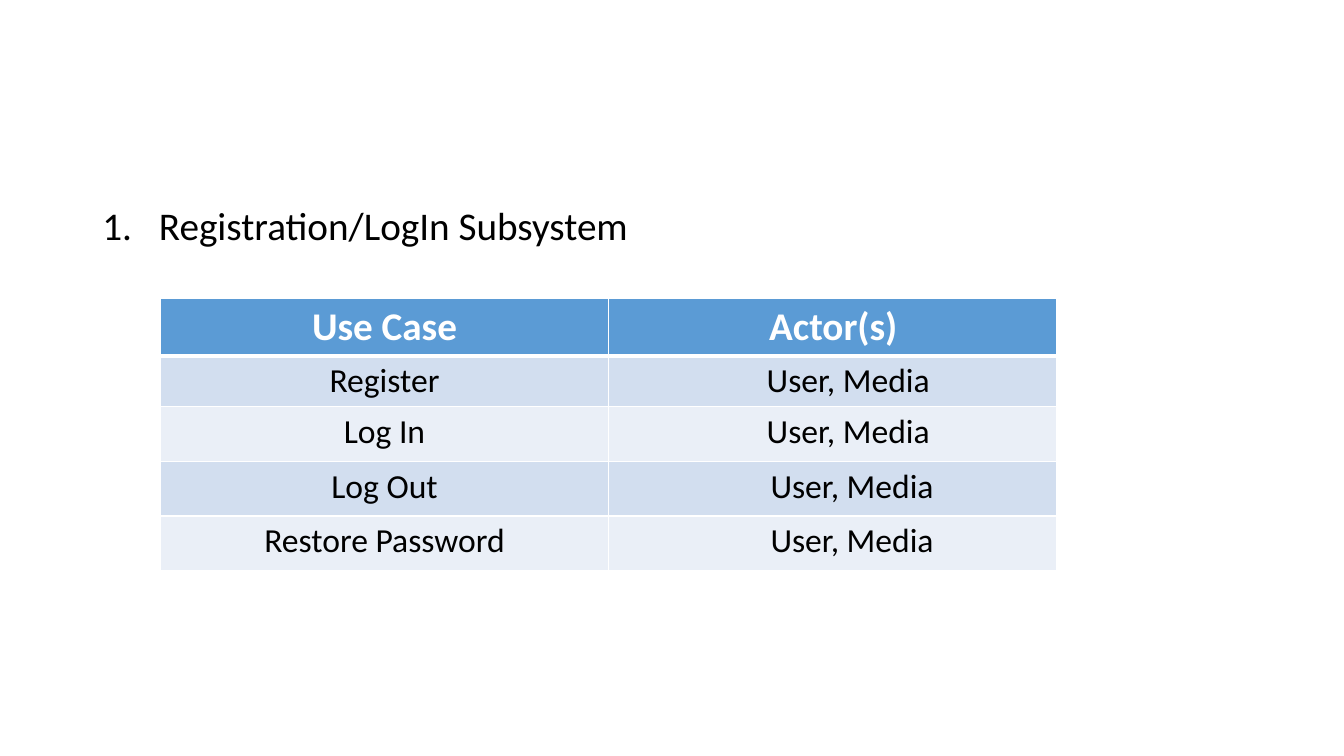
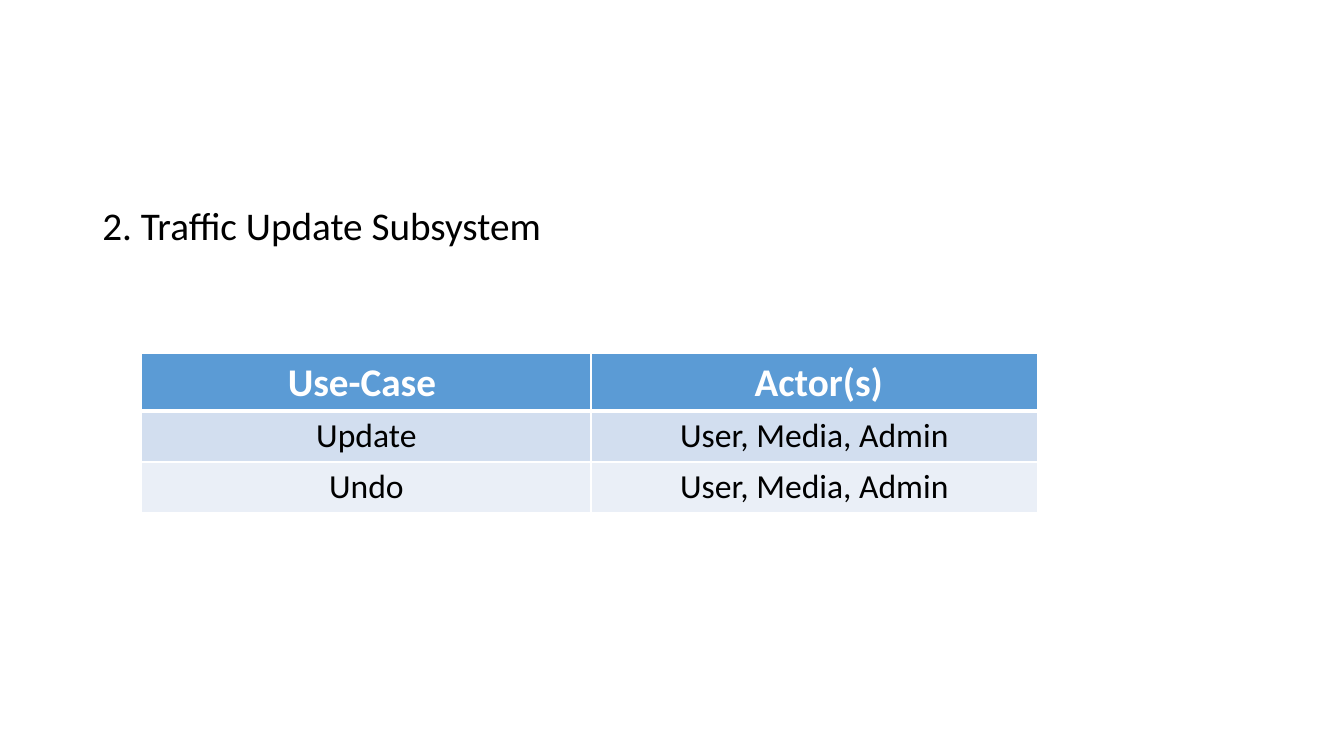
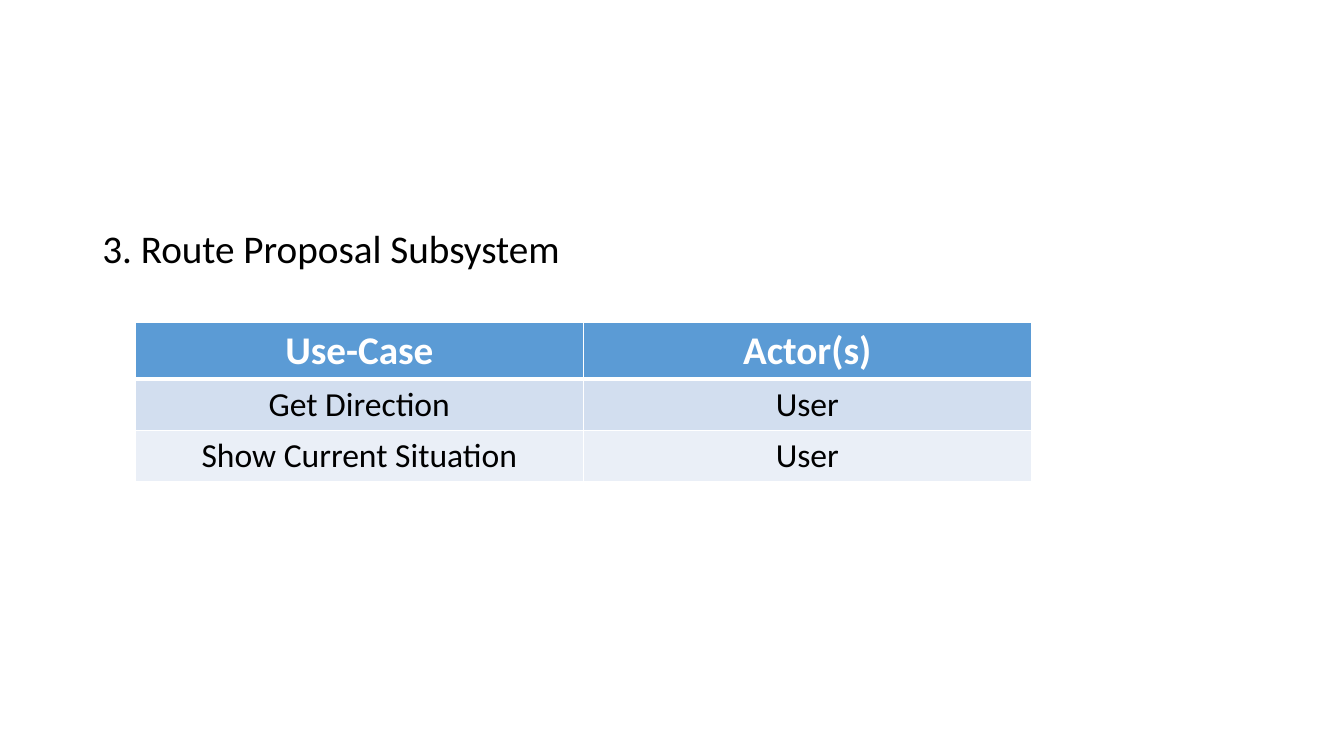
from dataclasses import dataclass
from lxml.etree import SubElement
from pptx import Presentation
from pptx.dml.color import RGBColor
from pptx.enum.text import PP_ALIGN as Align
from pptx.oxml.ns import qn
from pptx.util import Pt

FONT = "Calibri"
BLACK, WHITE = "000000", "FFFFFF"
HEADER, BANDS = "5B9BD5", ("D2DEEF", "EAEFF7")
HEADING_SIZE, BODY_SIZE = 28, 24
HEADING_LEFT, HEADING_WIDTH, HEADING_HEIGHT = 66, 828, 342.7
NUMBER_INDENT = 40.5


@dataclass(frozen=True)
class Row:
    use_case: str
    actors: str
    height: float = 36.4
    actor_indent: float | None = None


@dataclass(frozen=True)
class Subsystem:
    heading: str
    heading_top: float
    table_left: float
    table_top: float
    columns: tuple[float, float]
    rows: tuple[Row, ...]
    numbered: bool = False


SUBSYSTEMS = (
    Subsystem("Registration/LogIn Subsystem", 144, 114.7, 213.3, (320, 320), (
        Row("Use Case", "Actor(s)", 40.3, 107.6),
        Row("Register", "User, Media", 36.4, 105.8),
        Row("Log In", "User, Media", 39, 105.8),
        Row("Log Out", "User, Media", 39, 108.5),
        Row("Restore Password", "User, Media", 39, 108.5),
    ), numbered=True),
    Subsystem("2. Traffic Update Subsystem", 144, 101.2, 252.7, (321, 319), (
        Row("Use-Case ", " Actor(s)", 40.3),
        Row("Update", "User, Media, Admin"),
        Row("Undo", "User, Media, Admin"),
    )),
    Subsystem("3. Route Proposal Subsystem", 160.6, 96.7, 230, (320, 320), (
        Row("Use-Case", "Actor(s)", 40.3),
        Row("Get Direction", "User"),
        Row("Show Current Situation", "User"),
    )),
)


def color(value: str) -> RGBColor:
    return RGBColor.from_string(value)


def add_run(p, text: str, size: float, ink: str, bold: bool = False) -> None:
    r = p.add_run()
    r.text = text
    r.font.name = FONT
    r.font.size = Pt(size)
    r.font.bold = bold
    r.font.color.rgb = color(ink)


def indent(p, left: float, first: float = 0):
    pPr = p._p.get_or_add_pPr()
    pPr.set("marL", str(Pt(left)))
    pPr.set("indent", str(Pt(first)))
    return pPr


def add_border(cell, side: str, width: float) -> None:
    ln = SubElement(cell._tc.get_or_add_tcPr(), qn(f"a:ln{side}"), w=str(Pt(width)))
    fill = SubElement(ln, qn("a:solidFill"))
    SubElement(fill, qn("a:srgbClr"), val=WHITE)


def add_heading(s, item: Subsystem) -> None:
    box = s.shapes.add_textbox(Pt(HEADING_LEFT), Pt(item.heading_top),
                               Pt(HEADING_WIDTH), Pt(HEADING_HEIGHT))
    tf = box.text_frame
    tf.word_wrap = True
    p = tf.paragraphs[0]
    p.line_spacing = 0.9
    p.space_before = Pt(10)
    if item.numbered:
        pPr = indent(p, NUMBER_INDENT, -NUMBER_INDENT)
        SubElement(pPr, qn("a:buFont"), typeface="+mj-lt")
        SubElement(pPr, qn("a:buAutoNum"), type="arabicPeriod")
    add_run(p, item.heading, HEADING_SIZE, BLACK)


def fill_cell(cell, text: str, row_index: int, left: float | None) -> None:
    is_header = row_index == 0
    widths = {"L": 1, "R": 1, "T": 3 if row_index == 1 else 1, "B": 3 if is_header else 1}
    for side, width in widths.items():
        add_border(cell, side, width)
    cell.fill.solid()
    cell.fill.fore_color.rgb = color(HEADER if is_header else BANDS[(row_index - 1) % 2])
    p = cell.text_frame.paragraphs[0]
    if left is None:
        p.alignment = Align.CENTER
    else:
        p.alignment = Align.LEFT
        indent(p, left)
    if is_header:
        add_run(p, text, HEADING_SIZE, WHITE, bold=True)
    else:
        add_run(p, text, BODY_SIZE, BLACK)


def add_use_cases(s, item: Subsystem) -> None:
    height = sum(row.height for row in item.rows)
    table = s.shapes.add_table(len(item.rows), len(item.columns),
                               Pt(item.table_left), Pt(item.table_top),
                               Pt(sum(item.columns)), Pt(height)).table
    table.horz_banding = False
    for column, width in zip(table.columns, item.columns):
        column.width = Pt(width)
    for i, row in enumerate(item.rows):
        table.rows[i].height = Pt(row.height)
        fill_cell(table.cell(i, 0), row.use_case, i, None)
        fill_cell(table.cell(i, 1), row.actors, i, row.actor_indent)


def main() -> None:
    prs = Presentation()
    prs.slide_width, prs.slide_height = Pt(960), Pt(540)
    for item in SUBSYSTEMS:
        s = prs.slides.add_slide(prs.slide_layouts[6])
        add_heading(s, item)
        add_use_cases(s, item)
    prs.save("out.pptx")


main()
